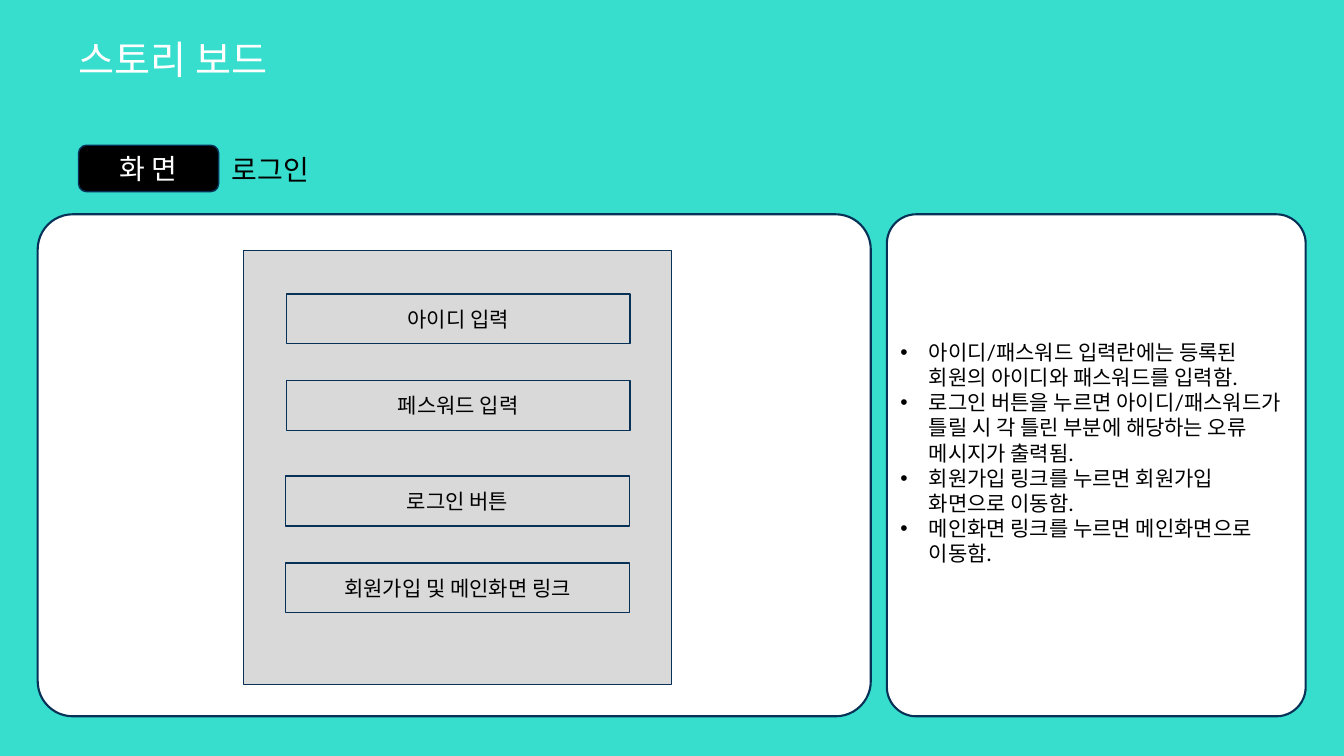
import pptx
import pptx.util
import pptx.dml.color
import pptx.enum.shapes
import pptx.enum.text
import lxml.etree
from pptx.util import Cm

FONT = "Lato"
BLACK, WHITE, GRAY = "000000", "FFFFFF", "D9D9D9"
NAVY, TURQUOISE = "073157", "37DECD"
RECTANGLE = pptx.enum.shapes.MSO_SHAPE.RECTANGLE
ROUNDED = pptx.enum.shapes.MSO_SHAPE.ROUNDED_RECTANGLE
LEFT, CENTER = pptx.enum.text.PP_ALIGN.LEFT, pptx.enum.text.PP_ALIGN.CENTER
MIDDLE, TOP = pptx.enum.text.MSO_ANCHOR.MIDDLE, pptx.enum.text.MSO_ANCHOR.TOP


def color(hex_value):
    return pptx.dml.color.RGBColor.from_string(hex_value)


def write_text(shape, text, size=30, text_color=BLACK, align=CENTER,
               anchor=MIDDLE, bullet=False):
    frame = shape.text_frame
    frame.word_wrap = True
    frame.vertical_anchor = anchor
    frame.text = text
    for paragraph in frame.paragraphs:
        paragraph.alignment = align
        if bullet:
            properties = paragraph._p.get_or_add_pPr()
            properties.set("marL", str(Cm(1.43)))
            properties.set("indent", str(-Cm(1.43)))
            for tag, attribute, value in (("a:buFont", "typeface", "Arial"),
                                          ("a:buChar", "char", "•")):
                element = lxml.etree.SubElement(properties, pptx.oxml.ns.qn(tag))
                element.set(attribute, value)
        paragraph.font.size = pptx.util.Pt(size)
        paragraph.font.name = FONT
        paragraph.font.color.rgb = color(text_color)


presentation = pptx.Presentation()
presentation.slide_width = Cm(67.74)
presentation.slide_height = Cm(38.1)
slide = presentation.slides.add_slide(presentation.slide_layouts[6])
slide.background.fill.solid()
slide.background.fill.fore_color.rgb = color(TURQUOISE)

# Title
title = slide.shapes.add_textbox(Cm(3.96), Cm(1.57), Cm(26.59), Cm(2.74))
title.text_frame.margin_left = title.text_frame.margin_right = 0
write_text(title, "스토리 보드", size=56, text_color=WHITE, align=LEFT)

# Screen name
screen_name = slide.shapes.add_textbox(Cm(11.43), Cm(7.57), Cm(17.32), Cm(1.96))
write_text(screen_name, "로그인", size=40, align=LEFT, anchor=TOP)

# Badge, panels, login frame and its fields
notes = "\n".join([
    "아이디/패스워드 입력란에는 등록된 회원의 아이디와 패스워드를 입력함.",
    "로그인 버튼을 누르면 아이디/패스워드가 틀릴 시 각 틀린 부분에 해당하는 오류 메시지가 출력됨.",
    "회원가입 링크를 누르면 회원가입 화면으로 이동함.",
    "메인화면 링크를 누르면 메인화면으로 이동함.",
])
boxes = [
    # kind, left, top, width, height, corner, fill, line width, text, format
    (ROUNDED, 3.96, 7.32, 7.06, 2.34, 0.17, BLACK, 2, "화 면",
     {"size": 40, "text_color": WHITE}),
    (ROUNDED, 1.9, 10.8, 41.99, 25.3, 0.07, WHITE, 3, "", {}),
    (ROUNDED, 44.7, 10.8, 21.11, 25.3, 0.07, WHITE, 3, notes,
     {"align": LEFT, "bullet": True}),
    (RECTANGLE, 12.27, 12.62, 21.59, 21.87, None, GRAY, 2, "", {}),
]
fields = [
    (14.43, 14.81, "아이디 입력"),
    (14.43, 19.18, "페스워드 입력"),
    (14.4, 24.0, "로그인 버튼"),
    (14.4, 28.37, "회원가입 및 메인화면 링크"),
]
for left, top, label in fields:
    boxes.append((RECTANGLE, left, top, 17.32, 2.51, None, GRAY, 2, label, {}))

for kind, left, top, width, height, corner, fill, line_width, text, text_format in boxes:
    shape = slide.shapes.add_shape(kind, Cm(left), Cm(top), Cm(width), Cm(height))
    shape.shadow.inherit = False
    if corner is not None:
        shape.adjustments[0] = corner
    shape.fill.solid()
    shape.fill.fore_color.rgb = color(fill)
    shape.line.color.rgb = color(NAVY)
    shape.line.width = pptx.util.Pt(line_width)
    if text:
        write_text(shape, text, **text_format)
    if text == notes:
        # Lift the notes slightly above the middle of their panel
        shape.text_frame.margin_bottom = Cm(1.4)

presentation.save("out.pptx")
